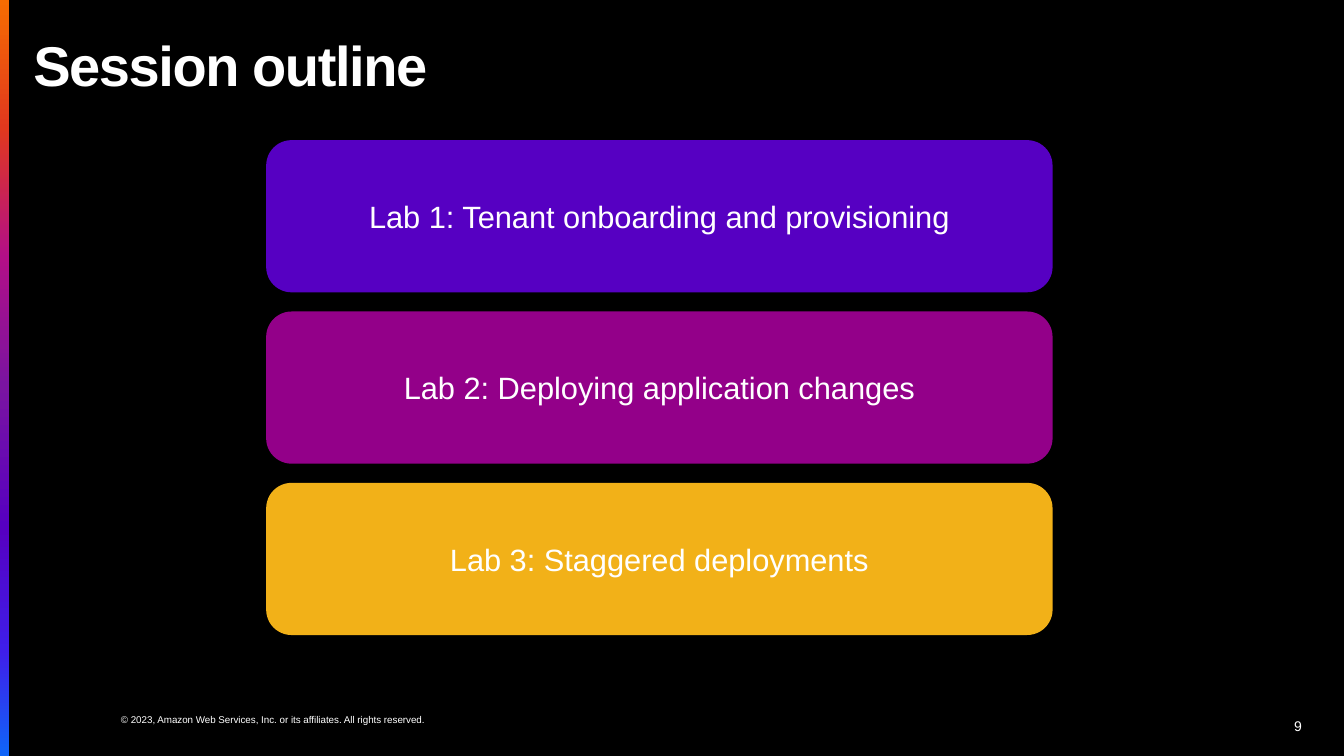
"""Build the session outline slide with three lab panels."""
from lxml.etree import SubElement
from pptx import Presentation
from pptx.dml.color import RGBColor
from pptx.enum.shapes import MSO_SHAPE
from pptx.enum.text import MSO_ANCHOR, MSO_AUTO_SIZE, PP_ALIGN
from pptx.oxml.ns import qn
from pptx.util import Inches, Pt

BLACK = RGBColor(0x00, 0x00, 0x00)
WHITE = RGBColor(0xFF, 0xFF, 0xFF)
VIOLET = RGBColor(0x56, 0x00, 0xC2)
MAGENTA = RGBColor(0x93, 0x00, 0x89)
AMBER = RGBColor(0xF2, 0xB1, 0x18)
STRIPE_STOPS = [
    (0, RGBColor(0xF6, 0x6C, 0x02)),
    (17, RGBColor(0xE1, 0x38, 0x1E)),
    (34, RGBColor(0xB2, 0x0F, 0x87)),
    (51, RGBColor(0x7A, 0x14, 0xA1)),
    (70, VIOLET),
    (86, RGBColor(0x3F, 0x1E, 0xE9)),
    (100, RGBColor(0x0F, 0x65, 0xF9)),
]
LABS = [
    ("Lab 1: Tenant onboarding and provisioning", VIOLET),
    ("Lab 2: Deploying application changes", MAGENTA),
    ("Lab 3: Staggered deployments", AMBER),
]
PANEL_TOP, PANEL_HEIGHT, PANEL_PITCH = 1.39, 1.51, 1.7


def write_text(shape, text, size, alignment, anchor):
    """Fill a shape with one white Arial line and return its paragraph."""
    frame = shape.text_frame
    frame.text = text
    frame.word_wrap = True
    frame.auto_size = MSO_AUTO_SIZE.NONE
    frame.vertical_anchor = anchor
    paragraph = frame.paragraphs[0]
    paragraph.alignment = alignment
    font = paragraph.runs[0].font
    font.name = "Arial"
    font.size = Pt(size)
    font.color.rgb = WHITE
    return paragraph


presentation = Presentation()
presentation.slide_width = Inches(13.33)
presentation.slide_height = Inches(7.5)
slide = presentation.slides.add_slide(presentation.slide_layouts[5])
slide.background.fill.solid()
slide.background.fill.fore_color.rgb = BLACK

title = slide.shapes.title
title.left, title.top = Inches(0.33), Inches(0.33)
title.width, title.height = Inches(12.67), Inches(0.7)
paragraph = write_text(title, "Session outline", 40, PP_ALIGN.LEFT, MSO_ANCHOR.TOP)
paragraph.line_spacing = 0.9
paragraph.runs[0].font.bold = True
paragraph.runs[0].font._element.set("spc", "-100")
title.text_frame.margin_left = title.text_frame.margin_right = 0

stripe = slide.shapes.add_shape(MSO_SHAPE.RECTANGLE, 0, 0, Inches(0.09), Inches(7.5))
stripe.shadow.inherit = False
stripe.line.fill.background()
stripe.fill.gradient()
stripe.fill.gradient_angle = 270
stop_list = stripe._element.spPr.find(qn("a:gradFill")).find(qn("a:gsLst"))
for stop in list(stop_list):
    stop_list.remove(stop)
for percent, color in STRIPE_STOPS:
    stop = SubElement(stop_list, qn("a:gs"), pos=str(percent * 1000))
    SubElement(stop, qn("a:srgbClr"), val=str(color))

for index, (label, color) in enumerate(LABS):
    panel = slide.shapes.add_shape(
        MSO_SHAPE.ROUNDED_RECTANGLE, Inches(2.64),
        Inches(PANEL_TOP + index * PANEL_PITCH), Inches(7.8), Inches(PANEL_HEIGHT))
    panel.shadow.inherit = False
    panel.fill.solid()
    panel.fill.fore_color.rgb = color
    panel.line.fill.background()
    write_text(panel, label, 22, PP_ALIGN.CENTER, MSO_ANCHOR.MIDDLE)

copyright_line = slide.shapes.add_textbox(Inches(1.2), Inches(7.08), Inches(4.33), Inches(0.12))
write_text(
    copyright_line,
    "© 2023, Amazon Web Services, Inc. or its affiliates. All rights reserved.",
    7, PP_ALIGN.LEFT, MSO_ANCHOR.TOP)
frame = copyright_line.text_frame
frame.margin_left = frame.margin_right = frame.margin_top = frame.margin_bottom = 0

page_number = slide.shapes.add_textbox(Inches(10.01), Inches(7), Inches(3), Inches(0.4))
write_text(page_number, "9", 10, PP_ALIGN.RIGHT, MSO_ANCHOR.MIDDLE)

presentation.save("out.pptx")
